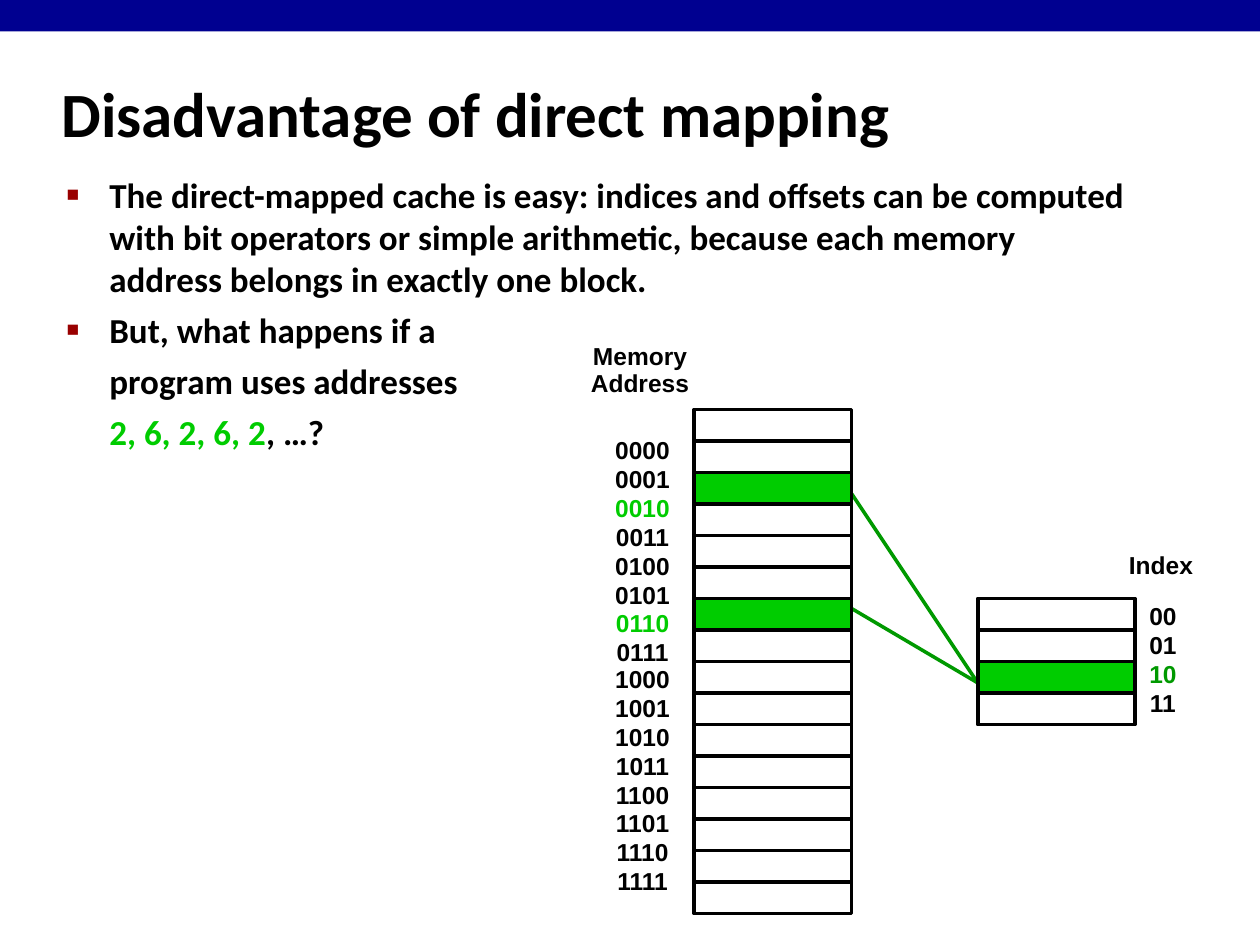
import pptx
import pptx.dml.color
import pptx.enum.shapes
import pptx.enum.text
import pptx.oxml
import pptx.oxml.ns
import pptx.util
import lxml.etree

COLORS = {
    "banner": "000090",
    "text": "000000",
    "bullet": "990000",
    "highlight": "00CC00",
    "link": "009900",
}
TITLE = "Disadvantage of direct mapping"
POINTS = [
    (True, [("The direct-mapped cache is easy: indices and offsets can be computed "
             "with bit operators or simple arithmetic, because each memory address "
             "belongs in exactly one block.", "text")]),
    (True, [("But, what happens if a", "text")]),
    (False, [("program uses addresses", "text")]),
    (False, [("2, 6, 2, 6, 2", "highlight"), (", …?", "text")]),
]
MEMORY_HEADING = ["Memory", "Address"]
INDEX_HEADING = ["Index"]
ADDRESSES = [f"{number:04b}" for number in range(16)]
INDICES = [f"{number:02b}" for number in range(4)]
USED_ADDRESSES = ["0010", "0110"]
USED_INDEX = "10"

ROW = 0.25
CELL_WIDTH = 5 * ROW
MEMORY_LEFT, MEMORY_TOP = 5.51, 13 * ROW
CACHE_LEFT, CACHE_TOP = MEMORY_LEFT + 9 * ROW, 19 * ROW
CACHE_ENTRY = (CACHE_LEFT, 5.42)
LINK_STARTS = [3.92, 4.83]

inches = pptx.util.Inches
points = pptx.util.Pt


def color(name):
    return pptx.dml.color.RGBColor.from_string(COLORS[name])


def add_rectangle(slide, left, top, width, height, fill=None, line=None):
    shape = slide.shapes.add_shape(
        pptx.enum.shapes.MSO_SHAPE.RECTANGLE,
        inches(left), inches(top), inches(width), inches(height))
    shape.shadow.inherit = False
    if fill:
        shape.fill.solid()
        shape.fill.fore_color.rgb = color(fill)
    else:
        shape.fill.background()
    if line:
        shape.line.color.rgb = color(line)
        shape.line.width = points(2)
    else:
        shape.line.fill.background()


def add_text_frame(slide, left, top, width, height, wrap=True, middle=True):
    box = slide.shapes.add_textbox(
        inches(left), inches(top), inches(width), inches(height))
    text_frame = box.text_frame
    text_frame.word_wrap = wrap
    anchor = pptx.enum.text.MSO_ANCHOR
    text_frame.vertical_anchor = anchor.MIDDLE if middle else anchor.TOP
    return text_frame


def next_paragraph(text_frame, position):
    return text_frame.add_paragraph() if position else text_frame.paragraphs[0]


def format_run(run, font_name, size, color_name):
    run.font.name = font_name
    run.font.size = points(size)
    run.font.bold = True
    run.font.color.rgb = color(color_name)


def set_bullet(paragraph, visible):
    properties = paragraph._p.get_or_add_pPr()
    margin = inches(0.34)
    properties.set("marL", str(margin))
    properties.set("indent", str(-margin if visible else 0))
    qualified = pptx.oxml.ns.qn
    if not visible:
        lxml.etree.SubElement(properties, qualified("a:buNone"))
        return
    bullet_color = lxml.etree.SubElement(properties, qualified("a:buClr"))
    lxml.etree.SubElement(bullet_color, qualified("a:srgbClr"), val=COLORS["bullet"])
    lxml.etree.SubElement(properties, qualified("a:buSzPct"), val="60000")
    lxml.etree.SubElement(properties, qualified("a:buFont"), typeface="Arial")
    lxml.etree.SubElement(properties, qualified("a:buChar"), char="■")


def add_points(slide):
    text_frame = add_text_frame(slide, 0.43, 1.33, 8.64, 5.59, middle=False)
    for position, (bulleted, parts) in enumerate(POINTS):
        paragraph = next_paragraph(text_frame, position)
        set_bullet(paragraph, bulleted)
        paragraph.space_before = points(5 if position else 0)
        for text, color_name in parts:
            run = paragraph.add_run()
            run.text = text
            format_run(run, "Calibri", 20, color_name)


def add_labels(slide, area, labels, highlights=(), highlight="text", gap=0, tight=()):
    text_frame = add_text_frame(slide, *area, wrap=False)
    text_frame.margin_left = text_frame.margin_right = inches(0.11)
    text_frame.margin_top = text_frame.margin_bottom = inches(0.06)
    for position, label in enumerate(labels):
        paragraph = next_paragraph(text_frame, position)
        paragraph.text = label
        paragraph.alignment = pptx.enum.text.PP_ALIGN.CENTER
        paragraph.line_spacing = 0.9
        paragraph.space_before = points(gap if position and label not in tight else 0)
        color_name = highlight if label in highlights else "text"
        format_run(paragraph.runs[0], "Arial", 14, color_name)


def add_cells(slide, left, top, labels, highlights):
    for position, label in enumerate(labels):
        fill = "highlight" if label in highlights else None
        add_rectangle(slide, left, top + position * ROW, CELL_WIDTH, ROW, fill, "text")


def add_link(slide, start_height):
    end_left, end_top = CACHE_ENTRY
    connector = slide.shapes.add_connector(
        pptx.enum.shapes.MSO_CONNECTOR.STRAIGHT,
        inches(MEMORY_LEFT + CELL_WIDTH), inches(start_height),
        inches(end_left), inches(end_top))
    connector.line.color.rgb = color("link")
    connector.line.width = points(2)
    lxml.etree.SubElement(
        connector._element.spPr, pptx.oxml.ns.qn("a:effectLst"))


def main():
    presentation = pptx.Presentation()
    presentation.slide_width = inches(10)
    presentation.slide_height = inches(7.5)
    slide = presentation.slides.add_slide(presentation.slide_layouts[6])

    add_rectangle(slide, 0, 0, 10, ROW, "banner")
    title_frame = add_text_frame(slide, 0.39, 0.48, 8.3, 0.83)
    title_frame.text = TITLE
    format_run(title_frame.paragraphs[0].runs[0], "Calibri", 36, "text")
    add_points(slide)

    for start_height in LINK_STARTS:
        add_link(slide, start_height)
    add_cells(slide, CACHE_LEFT, CACHE_TOP, INDICES, [USED_INDEX])
    add_cells(slide, MEMORY_LEFT, MEMORY_TOP, ADDRESSES, USED_ADDRESSES)

    add_labels(slide, (9.01, 4.74, 0.44, 1.01), INDICES, [USED_INDEX], "link", 1.4)
    add_labels(slide, (8.85, 4.34, 0.73, 0.32), INDEX_HEADING)
    add_labels(slide, (4.77, 3.42, 0.66, 3.75), ADDRESSES, USED_ADDRESSES,
               "highlight", 1.4, tight=["1000"])
    add_labels(slide, (4.58, 2.68, 1, 0.53), MEMORY_HEADING)

    presentation.save("out.pptx")


if __name__ == "__main__":
    main()
